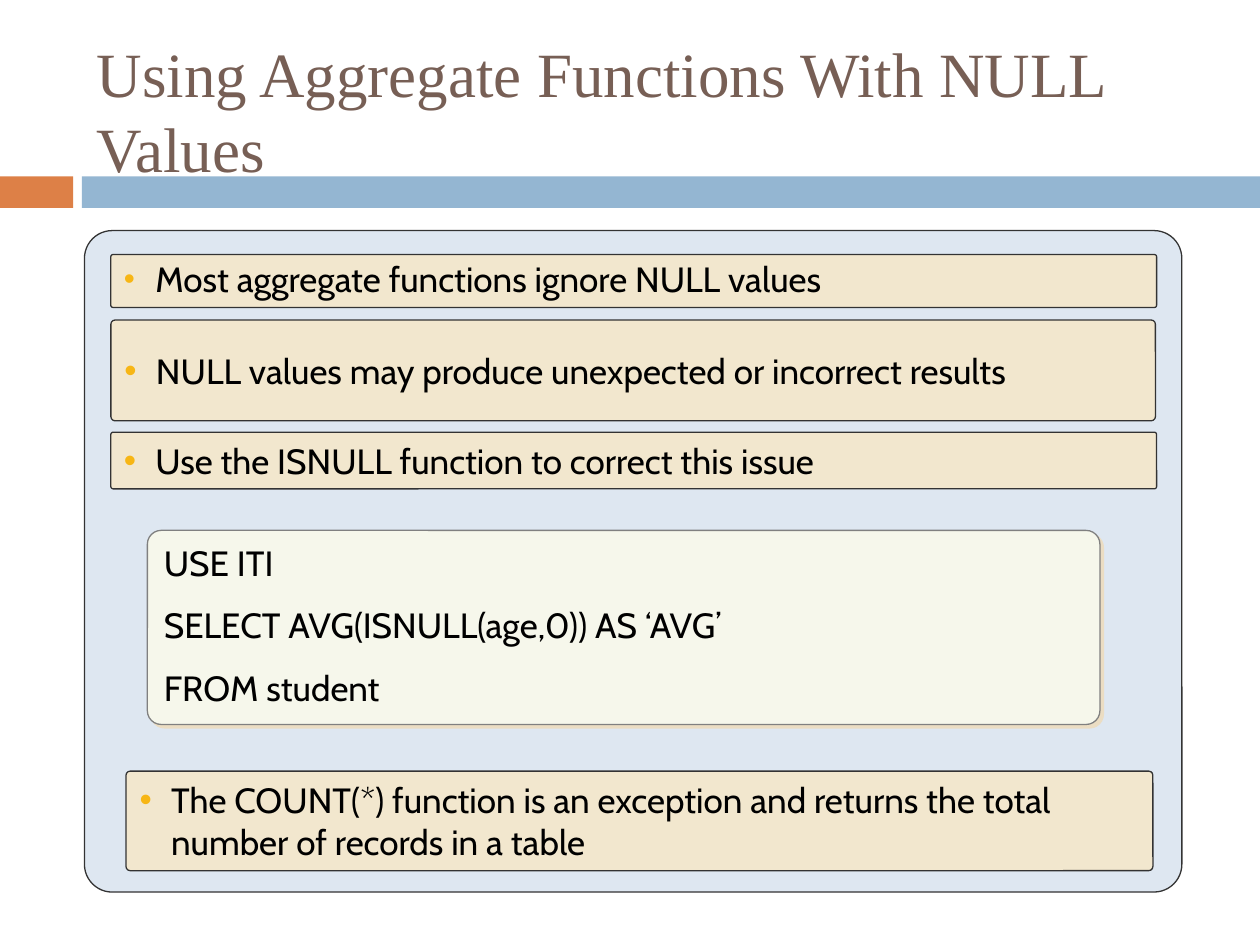
from lxml.etree import SubElement
from pptx import Presentation
from pptx.dml.color import RGBColor
from pptx.enum.shapes import MSO_SHAPE
from pptx.enum.text import MSO_ANCHOR, PP_ALIGN
from pptx.oxml.ns import qn
from pptx.util import Inches, Pt

ORANGE = RGBColor(0xDD, 0x80, 0x47)
BLUE = RGBColor(0x94, 0xB6, 0xD2)
BROWN = RGBColor(0x77, 0x5F, 0x55)
PANEL = RGBColor(0xDE, 0xE7, 0xF1)
CREAM = RGBColor(0xF2, 0xE7, 0xCE)
CODE_FILL = RGBColor(0xF6, 0xF7, 0xEB)
DARK = RGBColor(0x33, 0x33, 0x33)
GRAY = RGBColor(0x80, 0x80, 0x80)
BLACK = RGBColor(0, 0, 0)
BULLET = RGBColor(0xF7, 0xB6, 0x15)
SHADOW = RGBColor(0xEB, 0xDD, 0xC3)

STATEMENTS = [
    ("Most aggregate functions ignore NULL values", (0.88, 2.02, 8.3, 0.42), 0.9, 90),
    ("NULL values may produce unexpected or incorrect results", (0.88, 2.54, 8.29, 0.8), None, 100),
    ("Use the ISNULL function to correct this issue", (0.88, 3.43, 8.3, 0.45), None, 100),
    ("The COUNT(*) function is an exception and returns the total number of records in a table",
     (1, 6.12, 8.15, 0.79), None, 100),
]
QUERY = ["USE ITI", "SELECT AVG(ISNULL(age,0)) AS ‘AVG’", "FROM student"]


def add_box(slide, bounds, fill, line=None, corner=None):
    kind = MSO_SHAPE.RECTANGLE if corner is None else MSO_SHAPE.ROUNDED_RECTANGLE
    shape = slide.shapes.add_shape(kind, *map(Inches, bounds))
    shape.shadow.inherit = False
    shape.fill.solid()
    shape.fill.fore_color.rgb = fill
    if corner is not None:
        shape.adjustments[0] = corner
    if line is None:
        shape.line.fill.background()
    else:
        shape.line.color.rgb = line
        shape.line.width = Pt(0.75)
    return shape


def add_bullet(paragraph, size):
    properties = paragraph._p.get_or_add_pPr()
    properties.set("marL", str(Inches(0.25)))
    properties.set("indent", str(-Inches(0.25)))
    color = SubElement(properties, qn("a:buClr"))
    SubElement(color, qn("a:srgbClr"), val=str(BULLET))
    SubElement(properties, qn("a:buSzPct"), val=str(size * 1000))
    SubElement(properties, qn("a:buFont"), typeface="Arial")
    SubElement(properties, qn("a:buChar"), char="•")


def write_text(shape, lines, font="Cabin", size=20, color=BLACK,
               spacing=None, gap=0, bullet_size=None):
    frame = shape.text_frame
    frame.word_wrap = True
    frame.vertical_anchor = MSO_ANCHOR.MIDDLE
    for index, line in enumerate(lines):
        paragraph = frame.add_paragraph() if index else frame.paragraphs[0]
        if bullet_size:
            add_bullet(paragraph, bullet_size)
        paragraph.alignment = PP_ALIGN.LEFT
        if spacing:
            paragraph.line_spacing = spacing
        if index and gap:
            paragraph.space_before = Pt(gap)
        run = paragraph.add_run()
        run.text = line
        run.font.name = font
        run.font.size = Pt(size)
        run.font.color.rgb = color


def add_drop_shadow(shape):
    effects = shape._element.spPr.find(qn("a:effectLst"))
    shadow = SubElement(effects, qn("a:outerShdw"), blurRad="0", dist=str(Pt(2.8)),
                        dir=str(45 * 60000), algn="ctr", rotWithShape="0")
    SubElement(shadow, qn("a:srgbClr"), val=str(SHADOW))


def add_statement(slide, text, bounds, spacing, bullet_size):
    box = add_box(slide, bounds, CREAM, DARK, 0.042)
    write_text(box, [text], spacing=spacing, bullet_size=bullet_size)


def add_query(slide):
    box = add_box(slide, (1.17, 4.21, 7.56, 1.54), CODE_FILL, GRAY, 0.071)
    add_drop_shadow(box)
    write_text(box, QUERY, spacing=0.9, gap=14)


def add_title(slide, text):
    title = slide.shapes.add_textbox(*map(Inches, (0.67, 0.33, 8.92, 1.08)))
    write_text(title, [text], font="Times New Roman", size=36, color=BROWN)


def main():
    presentation = Presentation()
    presentation.slide_width = Inches(10)
    presentation.slide_height = Inches(7.5)
    slide = presentation.slides.add_slide(presentation.slide_layouts[6])
    add_box(slide, (0, 1.4, 0.58, 0.25), ORANGE)
    add_box(slide, (0.65, 1.4, 9.35, 0.25), BLUE)
    add_title(slide, "Using Aggregate Functions With NULL Values")
    add_box(slide, (0.67, 1.83, 8.71, 5.25), PANEL, DARK, 0.042)
    add_query(slide)
    for statement in STATEMENTS:
        add_statement(slide, *statement)
    presentation.save("out.pptx")


if __name__ == "__main__":
    main()
